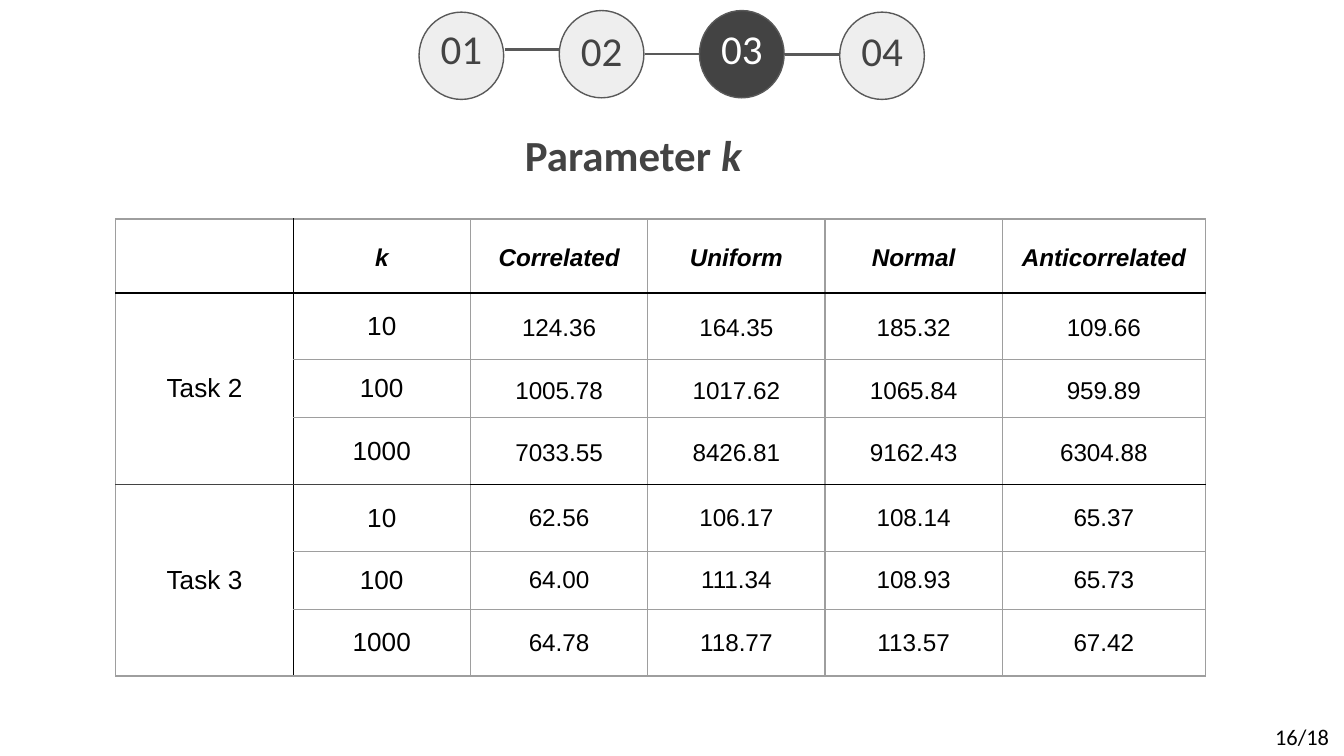
from lxml import etree
from pptx import Presentation
from pptx.dml.color import RGBColor
from pptx.enum.shapes import MSO_CONNECTOR, MSO_SHAPE
from pptx.enum.text import MSO_ANCHOR, PP_ALIGN
from pptx.oxml.ns import qn
from pptx.util import Cm, Pt

OVAL, LINE = MSO_SHAPE.OVAL, MSO_CONNECTOR.STRAIGHT
TOP, MID, LOW = MSO_ANCHOR.TOP, MSO_ANCHOR.MIDDLE, MSO_ANCHOR.BOTTOM
CENTER = PP_ALIGN.CENTER

COLORS = {
    "dark": "434343", "light": "EEEEEE", "line": "595959",
    "grid": "9E9E9E", "black": "000000", "white": "FFFFFF",
}
RGB = {name: RGBColor.from_string(code) for name, code in COLORS.items()}


def style(para, size, face, color, bold=False):
    para.alignment = CENTER
    font = para.font
    font.size, font.name, font.bold = Pt(size), face, bold
    font.color.rgb = RGB[color]


def add_text(left, top, width, height, text, anchor, size, color, bold=False):
    frame = slide.shapes.add_textbox(
        Cm(left), Cm(top), Cm(width), Cm(height)).text_frame
    frame.word_wrap = True
    frame.vertical_anchor = anchor
    frame.margin_left = frame.margin_right = Cm(0.25)
    frame.margin_top = frame.margin_bottom = Cm(0.25)
    para = frame.paragraphs[0]
    para.add_run().text = text
    style(para, size, "Calibri", color, bold)
    return para


prs = Presentation()
prs.slide_width, prs.slide_height = Cm(25.4), Cm(14.29)
slide = prs.slides.add_slide(prs.slide_layouts[6])

# Page number and title
add_text(23.82, 13.56, 1.58, 0.74, "16/18", MID, 12, "black")
title = add_text(5.1, 2.11, 13.74, 1.55, "Parameter ", LOW, 23, "dark", True)
var = title.add_run()
var.text = "k"
var.font.italic = True

# Progress steps: circle top, label top, height of the link to the next
steps = [(0.23, 0.2, 0.94), (0.2, 0.23, 1.02), (0.2, 0.2, 1.03), (0.23, 0.23, None)]
wide, tall, pitch = 1.6, 1.65, 2.65
for i, (top, label, link) in enumerate(steps):
    left = 7.92 + i * pitch
    active = i == 2
    disc = slide.shapes.add_shape(OVAL, Cm(left), Cm(top), Cm(wide), Cm(tall))
    disc.shadow.inherit = False
    disc.fill.solid()
    disc.fill.fore_color.rgb = RGB["dark" if active else "light"]
    disc.line.color.rgb = RGB["line"]
    disc.line.width = Pt(0.75)
    add_text(left, label, wide, tall, f"{i + 1:02}", TOP, 22,
             "white" if active else "dark")
    if link:
        bar = slide.shapes.add_connector(
            LINE, Cm(left + wide + 0.02), Cm(link), Cm(left + pitch - 0.01), Cm(link))
        bar.line.color.rgb = RGB["line"]
        bar.line.width = Pt(1.5)
        etree.SubElement(bar._element.spPr, qn("a:effectLst"))

# Results table
rows = [
    ["", "k", "Correlated", "Uniform", "Normal", "Anticorrelated"],
    ["", "10", "124.36", "164.35", "185.32", "109.66"],
    ["Task 2", "100", "1005.78", "1017.62", "1065.84", "959.89"],
    ["", "1000", "7033.55", "8426.81", "9162.43", "6304.88"],
    ["", "10", "62.56", "106.17", "108.14", "65.37"],
    ["Task 3", "100", "64.00", "111.34", "108.93", "65.73"],
    ["", "1000", "64.78", "118.77", "113.57", "67.42"],
]
widths = [3.35] * 5 + [3.84]
heights = [1.4] + [1.22, 1.07, 1.22] * 2
grid = slide.shapes.add_table(
    len(rows), len(widths), Cm(2.19), Cm(4.14),
    Cm(sum(widths)), Cm(sum(heights))).table
for col, width in zip(grid.columns, widths):
    col.width = Cm(width)
for row, height in zip(grid.rows, heights):
    row.height = Cm(height)

for r, row in enumerate(rows):
    for c, text in enumerate(row):
        cell = grid.cell(r, c)
        cell.fill.background()
        cell.vertical_anchor = MID
        value = r > 0 and c > 1
        side = 0.08 if value and r < 4 else 0.25
        cell.margin_left = cell.margin_right = Cm(side)
        cell.margin_top = cell.margin_bottom = Cm(0.05 if value else 0.25)
        para = cell.text_frame.paragraphs[0]
        if text:
            para.text = text
            style(para, 13 if r == 0 or value else 14, "Arial", "black", r == 0)
            para.font.italic = r == 0
            if r == 0 or (value and r < 4):
                para.line_spacing = 1.15

        # Black rules part the header, the tasks and the label column;
        # the label column has no rules inside a task
        rule = "dark" if c < 2 else "black"
        above = {0: "grid", 1: "black", 4: rule}.get(r, "grid" if c else None)
        below = {0: "black", 3: rule, 6: "grid"}.get(r, "grid" if c else None)
        edges = {
            "a:lnL": "black" if c == 1 else "grid",
            "a:lnR": "black" if c == 0 else "grid",
            "a:lnT": above,
            "a:lnB": below,
        }
        props = cell._tc.get_or_add_tcPr()
        for i, (tag, color) in enumerate(edges.items()):
            edge = etree.Element(qn(tag), w=str(Pt(0.75)))
            props.insert(i, edge)
            if color:
                fill = etree.SubElement(edge, qn("a:solidFill"))
                etree.SubElement(fill, qn("a:srgbClr"), val=COLORS[color])
            else:
                etree.SubElement(edge, qn("a:noFill"))

prs.save("out.pptx")
